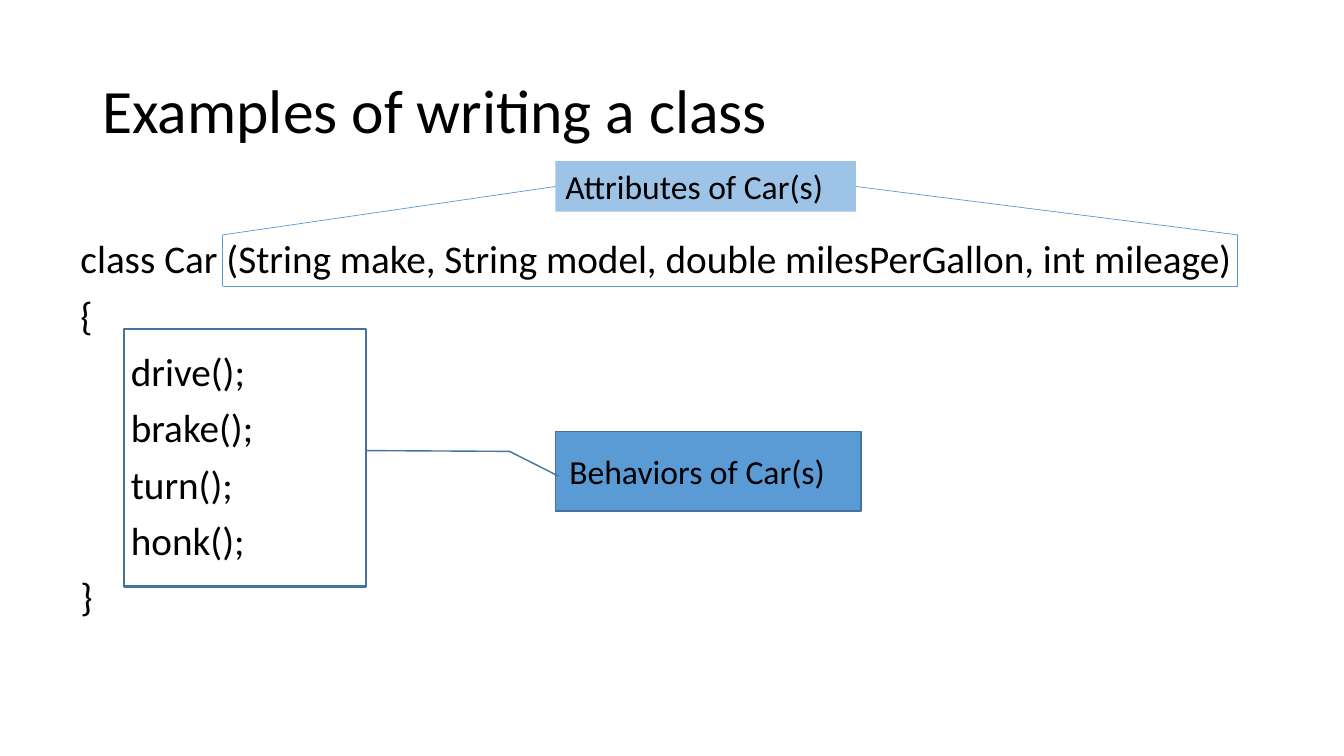
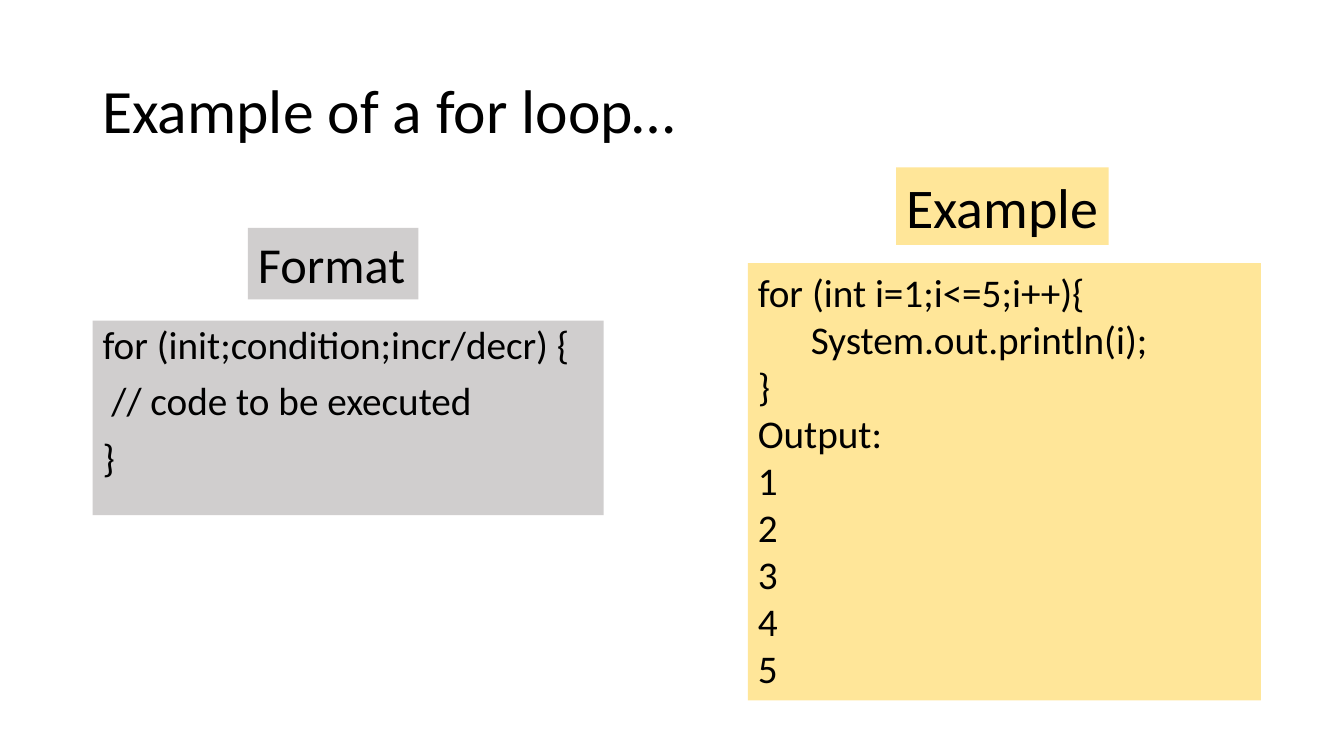
from lxml.etree import SubElement
from pptx import Presentation
from pptx.dml.color import RGBColor
from pptx.enum.shapes import MSO_CONNECTOR, MSO_SHAPE
from pptx.enum.text import MSO_ANCHOR, PP_ALIGN
from pptx.oxml.ns import qn
from pptx.util import Pt

FONT = "Calibri"
BLACK = RGBColor(0x00, 0x00, 0x00)
BLUE = RGBColor(0x5B, 0x9B, 0xD5)
DARK_BLUE = RGBColor(0x43, 0x73, 0x9E)
LIGHT_BLUE = RGBColor(0x9D, 0xC3, 0xE6)
GRAY = RGBColor(0xD0, 0xCE, 0xCE)
YELLOW = RGBColor(0xFF, 0xE6, 0x99)

TITLE_BOX = (66, 28.8, 828, 104.4)
CODE_SIZE = 28
LABEL_SIZE = 24
BODY_SPACING = {"line_spacing": 0.9, "gap": 10}

CLASS_TITLE = "Examples of writing a class"
CLASS_CODE = [
    "class Car (String make, String model, double milesPerGallon, int mileage)",
    "{",
    "\tdrive();",
    "\tbrake();",
    "\tturn();",
    "\thonk();",
    "}",
]
CLASS_CODE_BOX = (50.4, 167.8, 862, 337.7)
ATTRIBUTES_BOX = (396.7, 115.2, 214.6, 36)
BEHAVIORS_BOX = (396.7, 308.2, 218.2, 56.9)
METHODS_BOX = (88.6, 234.7, 172.8, 184.3)
BEHAVIORS_POINTER = (0.56, 0.01, 0.25, -0.15, 0.24, -0.62)
BRACKET_LEFT, BRACKET_RIGHT = 159.1, 884.2
BRACKET_TOP, BRACKET_BOTTOM = 167.8, 204.5

LOOP_TITLE = "Example of a for loop…"
LOOP_PANELS = [
    {
        "label": "Format", "label_size": 36, "label_box": (177.1, 162.7, 121.7, 51.1),
        "code": ["for (init;condition;incr/decr) {", " // code to be executed", "}"],
        "code_box": (66.2, 229, 365, 139),
        "fill": GRAY, "spacing": BODY_SPACING,
    },
    {
        "label": "Example", "label_size": 40, "label_box": (640.1, 119.5, 151.9, 55.4),
        "code": ["for (int i=1;i<=5;i++){", "      System.out.println(i);", "}",
                 "Output:", "1", "2", "3", "4", "5"],
        "code_box": (534.2, 187.9, 366.5, 312.5),
        "fill": YELLOW, "spacing": {},
    },
]


def write(shape, lines, size, line_spacing=1.0, gap=0, anchor=MSO_ANCHOR.TOP, wrap=True):
    text_frame = shape.text_frame
    text_frame.word_wrap = wrap
    text_frame.vertical_anchor = anchor
    text_frame.text = "\n".join(lines)
    for index, paragraph in enumerate(text_frame.paragraphs):
        paragraph.alignment = PP_ALIGN.LEFT
        paragraph.line_spacing = line_spacing
        paragraph.space_before = Pt(gap if index else 0)
        for run in paragraph.runs:
            run.font.name = FONT
            run.font.size = Pt(size)
            run.font.color.rgb = BLACK


def add_text(slide, box, lines, size, **style):
    shape = slide.shapes.add_textbox(*map(Pt, box))
    write(shape, lines, size, **style)
    return shape


def add_box(slide, box, fill=None, line=None, line_width=1, kind=MSO_SHAPE.RECTANGLE):
    shape = slide.shapes.add_shape(kind, *map(Pt, box))
    shape.shadow.inherit = False
    if fill is None:
        shape.fill.background()
    else:
        shape.fill.solid()
        shape.fill.fore_color.rgb = fill
    if line is None:
        shape.line.fill.background()
    else:
        shape.line.color.rgb = line
        shape.line.width = Pt(line_width)
    return shape


def add_line(slide, start, end):
    connector = slide.shapes.add_connector(MSO_CONNECTOR.STRAIGHT, *map(Pt, start + end))
    connector.line.color.rgb = BLUE
    connector.line.width = Pt(0.5)
    SubElement(connector._element.spPr, qn("a:effectLst"))
    return connector


def add_titled_slide(presentation, title):
    slide = presentation.slides.add_slide(presentation.slide_layouts[6])
    add_text(slide, TITLE_BOX, [title], 44, line_spacing=0.9, anchor=MSO_ANCHOR.MIDDLE)
    return slide


def build_class_slide(presentation):
    slide = add_titled_slide(presentation, CLASS_TITLE)
    add_text(slide, CLASS_CODE_BOX, CLASS_CODE, CODE_SIZE, **BODY_SPACING)

    behaviors = add_box(slide, BEHAVIORS_BOX, BLUE, DARK_BLUE, kind=MSO_SHAPE.LINE_CALLOUT_2)
    for index, value in enumerate(BEHAVIORS_POINTER):
        behaviors.adjustments[index] = value
    write(behaviors, ["Behaviors of Car(s)"], LABEL_SIZE, anchor=MSO_ANCHOR.MIDDLE)
    behaviors.text_frame.margin_left = Pt(10)

    attributes = add_box(slide, ATTRIBUTES_BOX, LIGHT_BLUE)
    write(attributes, ["Attributes of Car(s)"], LABEL_SIZE)

    left, top, width, height = ATTRIBUTES_BOX
    middle = top + height / 2
    for side_x, site, bracket_x in ((left, 1, BRACKET_LEFT), (left + width, 3, BRACKET_RIGHT)):
        leader = add_line(slide, (side_x, middle), (bracket_x, BRACKET_TOP))
        leader.begin_connect(attributes, site)
        add_line(slide, (bracket_x, BRACKET_TOP), (bracket_x, BRACKET_BOTTOM))
    add_line(slide, (BRACKET_LEFT, BRACKET_BOTTOM), (BRACKET_RIGHT, BRACKET_BOTTOM))

    add_box(slide, METHODS_BOX, line=DARK_BLUE, line_width=1.5)


def build_loop_slide(presentation):
    slide = add_titled_slide(presentation, LOOP_TITLE)
    for panel in LOOP_PANELS:
        code = add_box(slide, panel["code_box"], panel["fill"])
        write(code, panel["code"], CODE_SIZE, **panel["spacing"])
        label = add_box(slide, panel["label_box"], panel["fill"])
        write(label, [panel["label"]], panel["label_size"], wrap=False)


def main():
    presentation = Presentation()
    presentation.slide_width = Pt(960)
    presentation.slide_height = Pt(540)
    build_class_slide(presentation)
    build_loop_slide(presentation)
    presentation.save("out.pptx")


if __name__ == "__main__":
    main()
